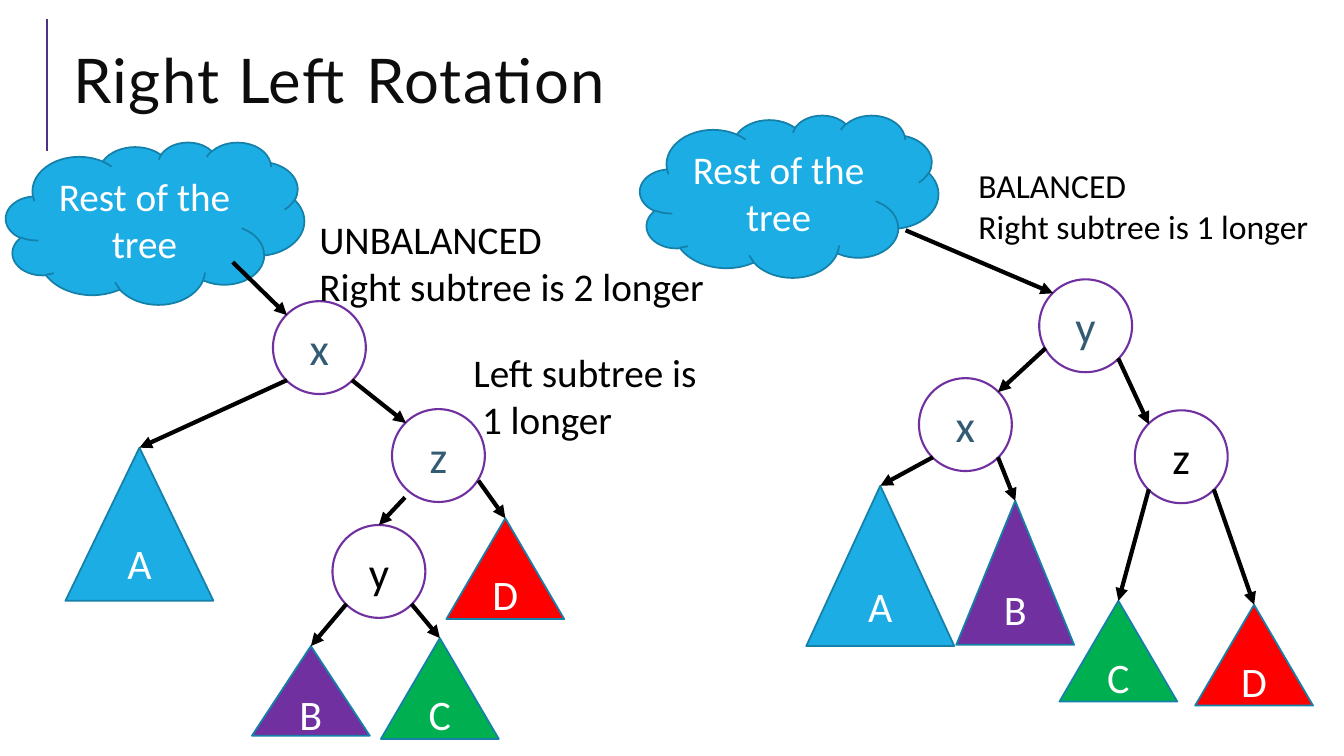
from dataclasses import dataclass

from lxml import etree
from pptx import Presentation
from pptx.dml.color import RGBColor
from pptx.enum.shapes import MSO_CONNECTOR, MSO_SHAPE
from pptx.enum.text import MSO_ANCHOR, MSO_AUTO_SIZE, PP_ALIGN
from pptx.oxml.ns import qn
from pptx.util import Cm, Pt

STRAIGHT = MSO_CONNECTOR.STRAIGHT
CLOUD, CIRCLE, TRIANGLE = MSO_SHAPE.CLOUD, MSO_SHAPE.OVAL, MSO_SHAPE.ISOSCELES_TRIANGLE
MIDDLE, TOP_ANCHOR = MSO_ANCHOR.MIDDLE, MSO_ANCHOR.TOP
CENTER, LEFT = PP_ALIGN.CENTER, PP_ALIGN.LEFT
GROW = MSO_AUTO_SIZE.SHAPE_TO_FIT_TEXT


@dataclass(frozen=True)
class Theme:
    """Colours, fonts and type sizes of the slide."""
    title: str = "0D0D0D"
    rule: str = "4C3282"
    ink: str = "000000"
    white: str = "FFFFFF"
    slate: str = "335B74"
    purple: str = "7030A0"
    blue: str = "1CADE4"
    edge: str = "1580A9"
    green: str = "00B050"
    red: str = "FF0000"
    title_font: str = "Lato"
    body_font: str = "Calibri"
    title_size: int = 44
    node_size: int = 32
    subtree_size: int = 30
    text_size: int = 28
    small_size: int = 24


THEME = Theme()
SUBTREE_FILLS = {"A": THEME.blue, "B": THEME.purple, "C": THEME.green, "D": THEME.red}
NODE_SIDE = 2.34
CLOUD_SIZE = (7.52, 4.09)

TOP, TOP_LEFT, TOP_RIGHT = (0.5, 0), (0.15, 0.15), (0.85, 0.15)
LOW_LEFT, LOW_RIGHT = (0.15, 0.85), (0.85, 0.85)

UNBALANCED = {
    "nodes": {"x": (6.73, 4.01, THEME.slate), "z": (9.73, 6.73, THEME.slate),
              "y": (8.23, 9.65, THEME.ink)},
    "subtrees": {"A": (1.5, 7.7, 3.73, 3.86), "B": (6.2, 12.7, 2.97, 2.26),
                 "C": (9.45, 12.5, 2.97, 2.54), "D": (11.1, 9.48, 2.97, 2.54)},
    "arrows": [("rest", (0.76, 0.74), "x", TOP_LEFT),
               ("x", LOW_LEFT, "A", TOP), ("x", LOW_RIGHT, "z", TOP_LEFT),
               ("z", (0.14, 0.95), "y", TOP), ("z", (0.93, 0.77), "D", TOP),
               ("y", LOW_LEFT, "B", TOP), ("y", LOW_RIGHT, "C", TOP)],
    "notes": [(7.65, 1.73, 11.56, 2.64, THEME.text_size, 0,
               ["UNBALANCED", "Right subtree is 2 longer"]),
              (11.53, 5.08, 11.56, 2.64, THEME.text_size, 0.22,
               ["Left subtree is", "1 longer"])],
}
BALANCED = {
    "nodes": {"x": (7.03, 6.63, THEME.slate), "y": (10.06, 4.14, THEME.slate),
              "z": (12.47, 7.44, THEME.ink)},
    "subtrees": {"A": (4.19, 9.34, 3.73, 4.04), "B": (7.97, 9.72, 2.97, 3.63),
                 "C": (10.57, 12.24, 2.97, 2.54), "D": (13.99, 12.34, 2.97, 2.54)},
    "arrows": [("rest", (0.89, 0.71), "y", TOP_LEFT),
               ("y", (0.07, 0.74), "x", TOP_RIGHT), ("y", LOW_RIGHT, "z", TOP_LEFT),
               ("x", LOW_LEFT, "A", TOP), ("x", LOW_RIGHT, "B", TOP),
               ("z", LOW_LEFT, "C", TOP), ("z", LOW_RIGHT, "D", TOP)],
    "notes": [(8.28, 1.14, 9.55, 2.31, THEME.small_size, 0,
               ["BALANCED", "Right subtree is 1 longer"])],
}


def colour(code):
    """Return the colour for a hex code."""
    return RGBColor.from_string(code)


def write(frame, lines, size, ink, font=THEME.body_font, align=LEFT, anchor=TOP_ANCHOR):
    """Write one paragraph per line and return the paragraphs."""
    for name, value in {"word_wrap": True, "vertical_anchor": anchor}.items():
        setattr(frame, name, value)
    paras = []
    for index, line in enumerate(lines):
        para = frame.add_paragraph() if index else frame.paragraphs[0]
        para.alignment = align
        span = para.add_run()
        span.text = line
        for name, value in {"name": font, "size": Pt(size)}.items():
            setattr(span.font, name, value)
        span.font.color.rgb = colour(ink)
        paras.append(para)
    return paras


def add_figure(page, kind, box, fill, outline, weight, label, size, ink):
    """Add a filled, outlined shape with a centred label."""
    shape = page.shapes.add_shape(kind, *map(Cm, box))
    shape.shadow.inherit = False
    shape.fill.solid()
    shape.fill.fore_color.rgb = colour(fill)
    shape.line.color.rgb = colour(outline)
    shape.line.width = Pt(weight)
    write(shape.text_frame, [label], size, ink, align=CENTER, anchor=MIDDLE)
    return shape


def add_line(page, start, end, ink, weight):
    """Add a plain straight line."""
    line = page.shapes.add_connector(STRAIGHT, *start, *end)
    line.line.color.rgb = colour(ink)
    line.line.width = Pt(weight)
    etree.SubElement(line._element.spPr, qn("a:effectLst"))
    return line


def spot_on(shape, spot):
    """Return the point at a fraction of a shape's width and height."""
    across, down = spot
    return (round(shape.left + across * shape.width),
            round(shape.top + down * shape.height))


def add_arrow(page, parent, start, child, end):
    """Point an arrow from a parent to its child."""
    arrow = add_line(page, spot_on(parent, start), spot_on(child, end), THEME.ink, 3)
    etree.SubElement(arrow.line._get_or_add_ln(), qn("a:tailEnd"), type="triangle")
    if end == TOP:
        arrow.end_connect(child, 0)


def add_note(page, box, size, indent, lines):
    """Add a note whose last line may be indented."""
    note = page.shapes.add_textbox(*map(Cm, box))
    paras = write(note.text_frame, lines, size, THEME.ink)
    note.text_frame.auto_size = GROW
    if indent:
        paras[-1]._p.get_or_add_pPr().set("marL", str(Cm(indent)))


def draw_heading(page, left, top, width, height):
    """Draw the upright rule and the title beside it."""
    add_line(page, (Cm(left), Cm(top + height)), (Cm(left), Cm(top)), THEME.rule, 1.5)
    title = page.shapes.add_textbox(Cm(left + 0.41), Cm(top + 0.26),
                                    Cm(width - 0.41), Cm(2.82))
    para = write(title.text_frame, ["Right Left Rotation"], THEME.title_size,
                 THEME.title, THEME.title_font, anchor=MIDDLE)[0]
    para.line_spacing = 0.8
    para.runs[0]._r.get_or_add_rPr().set("spc", "100")


def draw_tree(page, left, top, tree):
    """Draw a tree with its cloud, nodes, subtrees, arrows and notes."""
    parts = {}
    for label, (across, down, ink) in tree["nodes"].items():
        box = (left + across, top + down, NODE_SIDE, NODE_SIDE)
        parts[label] = add_figure(page, CIRCLE, box, THEME.white, THEME.purple, 1.5,
                                  label, THEME.node_size, ink)
    parts["rest"] = add_figure(page, CLOUD, (left, top, *CLOUD_SIZE), THEME.blue,
                               THEME.edge, 1.25, "Rest of the tree",
                               THEME.text_size, THEME.white)
    for label, (across, down, *extent) in tree["subtrees"].items():
        box = (left + across, top + down, *extent)
        parts[label] = add_figure(page, TRIANGLE, box, SUBTREE_FILLS[label], THEME.edge,
                                  1.25, label, THEME.subtree_size, THEME.white)
    for parent, start, child, end in tree["arrows"]:
        add_arrow(page, parts[parent], start, parts[child], end)
    for across, down, width, height, size, indent, lines in tree["notes"]:
        add_note(page, (left + across, top + down, width, height), size, indent, lines)


def main():
    """Build the slide and save it."""
    deck = Presentation()
    deck.slide_width, deck.slide_height = Cm(33.87), Cm(19.05)
    page = deck.slides.add_slide(deck.slide_layouts[6])
    draw_heading(page, 1.19, 0.48, 31.47, 3.33)
    draw_tree(page, 0.15, 3.58, UNBALANCED)
    draw_tree(page, 16.13, 2.9, BALANCED)
    deck.save("out.pptx")


if __name__ == "__main__":
    main()
